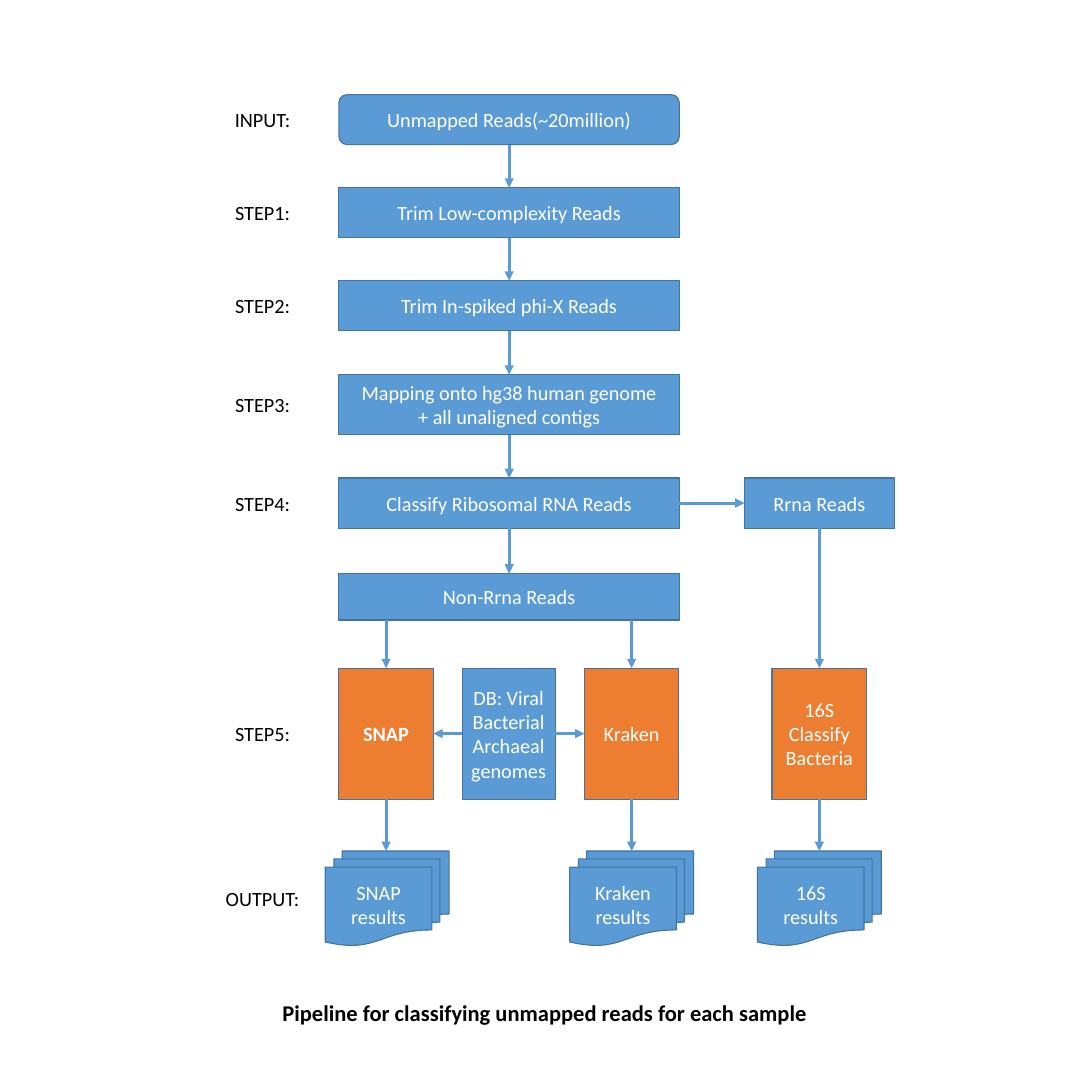
from dataclasses import dataclass

from lxml.etree import SubElement
from pptx import Presentation
from pptx.dml.color import RGBColor
from pptx.enum.shapes import MSO_CONNECTOR, MSO_SHAPE as Preset
from pptx.enum.text import MSO_ANCHOR, MSO_AUTO_SIZE, PP_ALIGN as Align
from pptx.oxml.ns import qn
from pptx.util import Pt

COLORS = {"blue": "5B9BD5", "orange": "ED7D31", "outline": "43739E",
          "white": "FFFFFF", "black": "000000"}
TOP, LEFT, BOTTOM, RIGHT = range(4)  # connection sites of a rectangle

COLUMN_CENTER, COLUMN_WIDTH = 453, 303
SNAP_CENTER, DATABASE_CENTER, KRAKEN_CENTER, RRNA_CENTER = 343.5, 452.5, 562, 729
STEP_HEIGHT, TOOL_WIDTH, TOOL_HEIGHT = 44.6, 84.2, 116.6
TOOL_TOP, OUTPUT_TOP = 594.7, 757.5
OUTPUT_WIDTH, OUTPUT_HEIGHT = 110.2, 84.2
LABEL_CENTER, LABEL_WIDTH, LABEL_HEIGHT = 233.6, 86, 29


@dataclass(frozen=True)
class Box:
    """A box of the flow chart, placed by its horizontal centre and top."""
    text: str
    center: float
    top: float
    width: float = COLUMN_WIDTH
    height: float = STEP_HEIGHT
    fill: str = "blue"
    preset: Preset = Preset.RECTANGLE
    bold: bool = False

    @property
    def bottom(self) -> float:
        """Return the lower edge."""
        return self.top + self.height

    @property
    def middle(self) -> float:
        """Return the vertical centre."""
        return self.top + self.height / 2


@dataclass(frozen=True)
class Link:
    """An arrow between connection sites of two boxes."""
    start: Box
    start_site: int
    end: Box
    end_site: int


def tool(text: str, center: float, **options) -> Box:
    """Describe a tall box of the tool row."""
    settings = {"width": TOOL_WIDTH, "fill": "orange"} | options
    return Box(text, center, TOOL_TOP, height=TOOL_HEIGHT, **settings)


def output(text: str, center: float) -> Box:
    """Describe a stack of result documents."""
    return Box(text, center, OUTPUT_TOP, OUTPUT_WIDTH, OUTPUT_HEIGHT,
               preset=Preset.FLOWCHART_MULTIDOCUMENT)


def color(name: str) -> RGBColor:
    """Look up a named colour."""
    return RGBColor.from_string(COLORS[name])


def write(shape, text: str, *, size: float = 18, ink: str = "black",
          bold: bool = False, align: Align = Align.CENTER, wrap: bool = True) -> None:
    """Put formatted text into a shape, one paragraph per line."""
    frame = shape.text_frame
    frame.text = text
    frame.word_wrap = wrap
    frame.auto_size = MSO_AUTO_SIZE.NONE
    frame.vertical_anchor = MSO_ANCHOR.MIDDLE
    for paragraph in frame.paragraphs:
        paragraph.alignment = align
        font = paragraph.font
        font.name, font.size, font.bold = "Calibri", Pt(size), bold
        font.color.rgb = color(ink)


def draw_box(slide, box: Box):
    """Draw a box with its text and return the shape."""
    shape = slide.shapes.add_shape(
        box.preset, Pt(box.center - box.width / 2), Pt(box.top),
        Pt(box.width), Pt(box.height))
    shape.shadow.inherit = False
    shape.fill.solid()
    shape.fill.fore_color.rgb = color(box.fill)
    shape.line.color.rgb = color("outline")
    shape.line.width = Pt(1)
    write(shape, box.text, ink="white", bold=box.bold)
    return shape


def draw_label(slide, text: str, middle: float) -> None:
    """Draw a row label centred on the given height."""
    label = slide.shapes.add_textbox(
        Pt(LABEL_CENTER - LABEL_WIDTH / 2), Pt(middle - LABEL_HEIGHT / 2),
        Pt(LABEL_WIDTH), Pt(LABEL_HEIGHT))
    write(label, text)


def draw_arrow(slide, x: float = 0, top: float = 0, bottom: float = 0):
    """Draw a downward arrow and return the connector."""
    arrow = slide.shapes.add_connector(
        MSO_CONNECTOR.STRAIGHT, Pt(x), Pt(top), Pt(x), Pt(bottom))
    arrow.line.color.rgb = color("blue")
    arrow.line.width = Pt(2.75)
    properties = arrow._element.spPr
    SubElement(properties.find(qn("a:ln")), qn("a:tailEnd"), type="triangle")
    SubElement(properties, qn("a:effectLst"))
    return arrow


def draw_link(slide, link: Link, shapes: dict) -> None:
    """Draw an arrow attached to two boxes."""
    arrow = draw_arrow(slide)
    arrow.begin_connect(shapes[link.start], link.start_site)
    arrow.end_connect(shapes[link.end], link.end_site)


reads = Box("Unmapped Reads(~20million)", COLUMN_CENTER, 84.2,
            preset=Preset.ROUNDED_RECTANGLE)
low_complexity = Box("Trim Low-complexity Reads", COLUMN_CENTER, 167)
phi_x = Box("Trim In-spiked phi-X Reads", COLUMN_CENTER, 249.8)
mapping = Box("Mapping onto hg38 human genome\n+ all unaligned contigs",
              COLUMN_CENTER, 333.4, height=53.5)
ribosomal = Box("Classify Ribosomal RNA Reads", COLUMN_CENTER, 425.5)
non_rrna = Box("Non-Rrna Reads", COLUMN_CENTER, 510.5, height=41.4)
rrna = Box("Rrna Reads", RRNA_CENTER, 425.5, width=133.2)
snap = tool("SNAP", SNAP_CENTER, bold=True)
database = tool("DB: Viral Bacterial Archaeal genomes", DATABASE_CENTER,
                width=82.8, fill="blue")
kraken = tool("Kraken", KRAKEN_CENTER)
classifier = tool("16S\nClassify\nBacteria", RRNA_CENTER)
snap_results = output("SNAP\nresults", SNAP_CENTER + 1)
kraken_results = output("Kraken results", KRAKEN_CENTER)
classifier_results = output("16S\nresults", RRNA_CENTER)

column = [reads, low_complexity, phi_x, mapping, ribosomal, non_rrna]
tools = [snap, kraken, classifier]
outputs = [snap_results, kraken_results, classifier_results]
labels = {"INPUT:": reads, "STEP1:": low_complexity, "STEP2:": phi_x,
          "STEP3:": mapping, "STEP4:": ribosomal, "STEP5:": snap,
          "OUTPUT:": snap_results}
links = [Link(upper, BOTTOM, lower, TOP) for upper, lower in zip(column, column[1:])]
links += [Link(ribosomal, RIGHT, rrna, LEFT),
          Link(rrna, BOTTOM, classifier, TOP),
          Link(database, LEFT, snap, RIGHT),
          Link(database, RIGHT, kraken, LEFT)]

presentation = Presentation()
presentation.slide_width, presentation.slide_height = Pt(960), Pt(972)
slide = presentation.slides.add_slide(presentation.slide_layouts[5])

title = slide.shapes.title
title.left, title.top, title.width, title.height = Pt(244), Pt(885.6), Pt(485), Pt(31.5)
write(title, "Pipeline for classifying unmapped reads for each sample",
      size=20, bold=True, align=Align.LEFT, wrap=False)

shapes = {box: draw_box(slide, box) for box in [*column, rrna, *tools, database, *outputs]}
for text, box in labels.items():
    draw_label(slide, text, box.middle)
for link in links:
    draw_link(slide, link, shapes)
for branch in (snap, kraken):
    draw_arrow(slide, branch.center, non_rrna.bottom, branch.top)
for source, result in zip(tools, outputs):
    draw_arrow(slide, source.center, source.bottom, result.top)

presentation.save("out.pptx")
